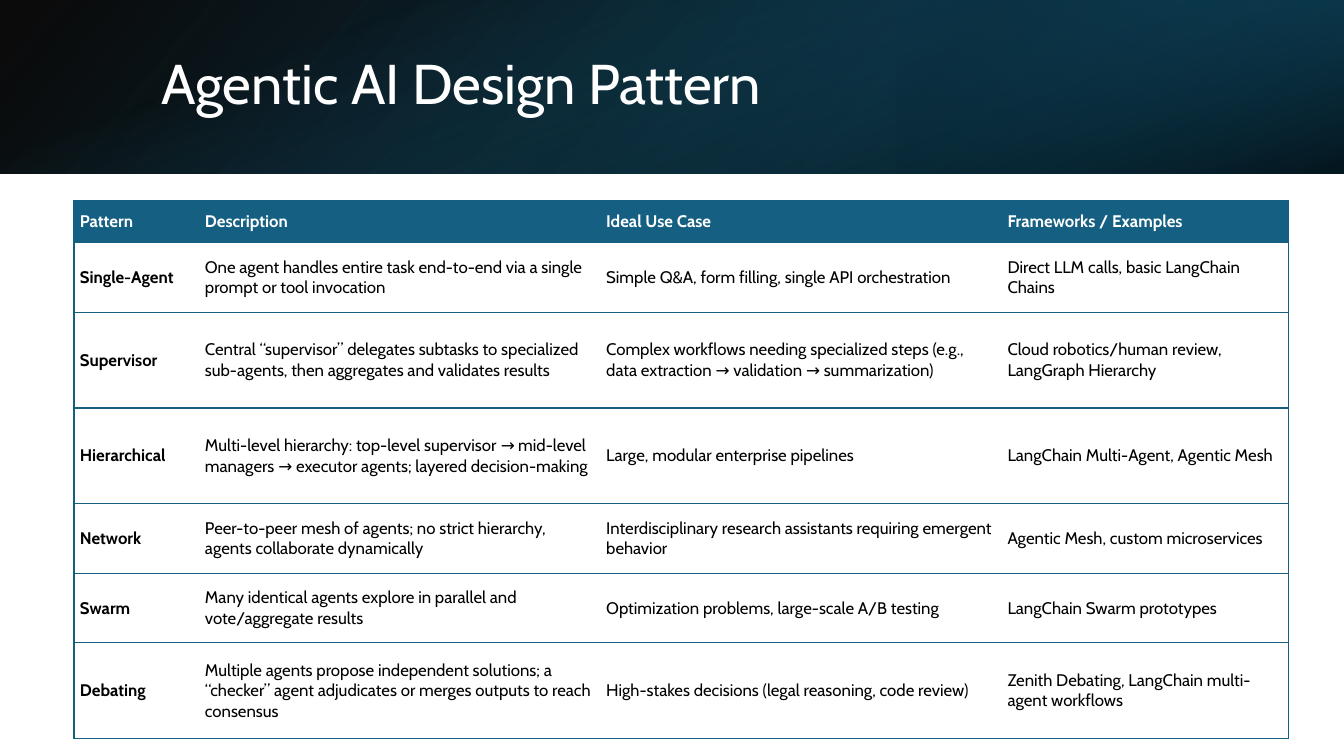
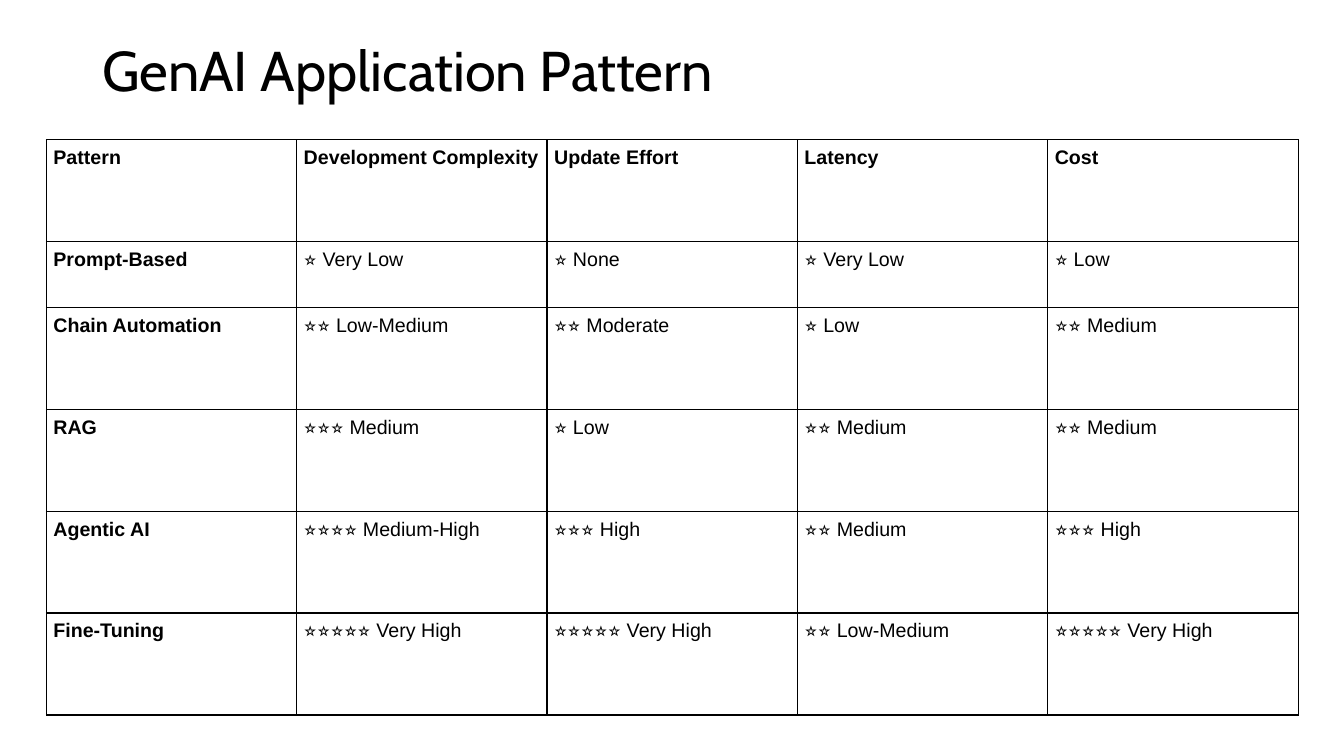
"""Builds two slides that compare agent design patterns and application patterns."""
from dataclasses import dataclass

from pptx import Presentation
from pptx import util as u
from pptx.dml.color import RGBColor
from pptx.enum import shapes, text
from pptx.oxml import parse_xml
from pptx.oxml.ns import nsdecls

SLIDE_WIDTH, SLIDE_HEIGHT = u.Inches(13.33), u.Inches(7.5)


@dataclass(frozen=True)
class Theme:
    accent: str = "156082"
    accent_dark: str = "104862"
    accent_deep: str = "0B3041"
    ink: str = "000000"
    paper: str = "FFFFFF"
    title_font: str = "Cabin"
    grid_font: str = "Arial"
    title_size: float = 40
    pattern_size: float = 12
    rating_size: float = 14
    border_width: float = 1


THEME = Theme()


@dataclass(frozen=True)
class Area:
    """A rectangle in percent of the slide's width and height."""
    left: float
    top: float
    width: float
    height: float

    def box(self) -> tuple[int, int, int, int]:
        return (int(SLIDE_WIDTH * self.left / 100), int(SLIDE_HEIGHT * self.top / 100),
                int(SLIDE_WIDTH * self.width / 100), int(SLIDE_HEIGHT * self.height / 100))


@dataclass(frozen=True)
class Stop:
    position: int
    color: str
    opacity: int = 100


@dataclass(frozen=True)
class BandLayer:
    box: tuple[int, int, int, int]
    stops: tuple[Stop, Stop]
    angle: int
    rotation: int = 0
    flipped: bool = False


@dataclass(frozen=True)
class Grid:
    area: Area
    columns: tuple[float, ...]
    rows: tuple[float, ...]
    cells: tuple[tuple[str, ...], ...]
    font: str
    size: float
    margins: tuple[float, float]
    anchor: text.MSO_ANCHOR
    border: str
    inner_verticals: bool
    header_fill: str | None = None
    header_ink: str = THEME.ink
    body_fill: str | None = None


BAND = Area(0, 0, 100, 22.95)
BAND_HEIGHT = BAND.box()[3]
BAND_SHIFT = (SLIDE_WIDTH - BAND_HEIGHT) // 2
BAND_LAYERS = (
    BandLayer(BAND.box(), (Stop(0, THEME.ink, 96), Stop(100, THEME.accent_dark)),
              140, flipped=True),
    BandLayer(Area(66.67, 0, 33.33, BAND.height).box(),
              (Stop(19, THEME.accent_deep, 68), Stop(100, THEME.accent, 79)),
              320, 180, True),
    BandLayer((BAND_SHIFT, -BAND_SHIFT, BAND_HEIGHT, SLIDE_WIDTH),
              (Stop(23, THEME.accent, 0), Stop(99, THEME.ink, 74)), 340, 90),
)

DESIGN_GRID = Grid(
    area=Area(5.5, 26.5, 90.4, 71.2),
    columns=(1.24, 3.98, 3.98, 2.85),
    rows=(0.42, 0.69, 0.95, 0.95, 0.69, 0.69, 0.95),
    cells=(
        ("Pattern", "Description", "Ideal Use Case", "Frameworks / Examples"),
        ("Single-Agent",
         "One agent handles entire task end-to-end via a single prompt or tool invocation",
         "Simple Q&A, form filling, single API orchestration",
         "Direct LLM calls, basic LangChain Chains"),
        ("Supervisor",
         "Central “supervisor” delegates subtasks to specialized sub-agents, "
         "then aggregates and validates results",
         "Complex workflows needing specialized steps (e.g., "
         "data extraction → validation → summarization)",
         "Cloud robotics/human review, LangGraph Hierarchy"),
        ("Hierarchical",
         "Multi-level hierarchy: top-level supervisor → mid-level managers → "
         "executor agents; layered decision-making",
         "Large, modular enterprise pipelines",
         "LangChain Multi-Agent, Agentic Mesh"),
        ("Network",
         "Peer-to-peer mesh of agents; no strict hierarchy, agents collaborate dynamically",
         "Interdisciplinary research assistants requiring emergent behavior",
         "Agentic Mesh, custom microservices"),
        ("Swarm",
         "Many identical agents explore in parallel and vote/aggregate results",
         "Optimization problems, large-scale A/B testing",
         "LangChain Swarm prototypes"),
        ("Debating",
         "Multiple agents propose independent solutions; a “checker” agent "
         "adjudicates or merges outputs to reach consensus",
         "High-stakes decisions (legal reasoning, code review)",
         "Zenith Debating, LangChain multi-agent workflows"),
    ),
    font=THEME.title_font, size=THEME.pattern_size, margins=(0.06, 0.03),
    anchor=text.MSO_ANCHOR.MIDDLE, border=THEME.accent, inner_verticals=False,
    header_fill=THEME.accent, header_ink=THEME.paper, body_fill=THEME.paper,
)

RATING_GRID = Grid(
    area=Area(3.45, 18.5, 93.15, 76.1),
    columns=(1,) * 5,
    rows=(1.01, 0.65, 1.01, 1.01, 1.01, 1.01),
    cells=(
        ("Pattern", "Development Complexity", "Update Effort", "Latency", "Cost"),
        ("Prompt-Based", "⭐ Very Low", "⭐ None", "⭐ Very Low", "⭐ Low"),
        ("Chain Automation", "⭐⭐ Low-Medium", "⭐⭐ Moderate", "⭐ Low", "⭐⭐ Medium"),
        ("RAG", "⭐⭐⭐ Medium", "⭐ Low", "⭐⭐ Medium", "⭐⭐ Medium"),
        ("Agentic AI", "⭐⭐⭐⭐ Medium-High", "⭐⭐⭐ High", "⭐⭐ Medium", "⭐⭐⭐ High"),
        ("Fine-Tuning", "⭐⭐⭐⭐⭐ Very High", "⭐⭐⭐⭐⭐ Very High", "⭐⭐ Low-Medium",
         "⭐⭐⭐⭐⭐ Very High"),
    ),
    font=THEME.grid_font, size=THEME.rating_size, margins=(0.07, 0.07),
    anchor=text.MSO_ANCHOR.TOP, border=THEME.ink, inner_verticals=True,
)


def style_paragraph(para, font: str, size: float, color: str, bold: bool = False) -> None:
    para.font.name = font
    para.font.size = u.Pt(size)
    para.font.bold = bold
    para.font.color.rgb = RGBColor.from_string(color)


def add_title(page, area: Area, wording: str, color: str) -> None:
    frame = page.shapes.add_textbox(*area.box()).text_frame
    frame.word_wrap = True
    frame.vertical_anchor = text.MSO_ANCHOR.MIDDLE
    para = frame.paragraphs[0]
    para.text = wording
    para.line_spacing = 0.9
    style_paragraph(para, THEME.title_font, THEME.title_size, color)


def add_band_layer(page, layer: BandLayer) -> None:
    shape = page.shapes.add_shape(shapes.MSO_SHAPE.RECTANGLE, *layer.box)
    shape.shadow.inherit = False
    shape.line.fill.background()
    shape.rotation = layer.rotation
    properties = shape._element.spPr
    if layer.flipped:
        properties.xfrm.set("flipH", "1")
    stops = "".join(
        f'<a:gs pos="{stop.position * 1000}"><a:srgbClr val="{stop.color}">'
        f'<a:alpha val="{stop.opacity * 1000}"/></a:srgbClr></a:gs>'
        for stop in layer.stops)
    properties.insert(2, parse_xml(
        f'<a:gradFill {nsdecls("a")} rotWithShape="1"><a:gsLst>{stops}</a:gsLst>'
        f'<a:lin ang="{layer.angle * 60000}" scaled="0"/></a:gradFill>'))


def set_borders(cell, color: str, visible: dict[str, bool]) -> None:
    properties = cell._tc.get_or_add_tcPr()
    for index, (side, shown) in enumerate(visible.items()):
        paint = (f'<a:solidFill><a:srgbClr val="{color}"/></a:solidFill>'
                 if shown else "<a:noFill/>")
        properties.insert(index, parse_xml(
            f'<a:ln{side} {nsdecls("a")} w="{u.Pt(THEME.border_width)}">{paint}</a:ln{side}>'))


def fill_cell(cell, color: str | None) -> None:
    if color is None:
        cell.fill.background()
    else:
        cell.fill.solid()
        cell.fill.fore_color.rgb = RGBColor.from_string(color)


def add_grid(page, grid: Grid) -> None:
    left, top, width, height = grid.area.box()
    table = page.shapes.add_table(
        len(grid.rows), len(grid.columns), left, top, width, height).table
    table.first_row = table.horz_banding = False
    for column, share in zip(table.columns, grid.columns):
        column.width = int(width * share / sum(grid.columns))
    for row, share in zip(table.rows, grid.rows):
        row.height = int(height * share / sum(grid.rows))
    last_column = len(grid.columns) - 1
    side_margin, end_margin = (u.Inches(margin) for margin in grid.margins)
    for row_index, row_cells in enumerate(grid.cells):
        header = row_index == 0
        for column_index, wording in enumerate(row_cells):
            cell = table.cell(row_index, column_index)
            cell.margin_left = cell.margin_right = side_margin
            cell.margin_top = cell.margin_bottom = end_margin
            cell.vertical_anchor = grid.anchor
            fill_cell(cell, grid.header_fill if header else grid.body_fill)
            para = cell.text_frame.paragraphs[0]
            para.text = wording
            style_paragraph(para, grid.font, grid.size,
                            grid.header_ink if header else THEME.ink,
                            header or column_index == 0)
            set_borders(cell, grid.border, {
                "L": grid.inner_verticals or column_index == 0,
                "R": grid.inner_verticals or column_index == last_column,
                "T": True, "B": True})


def main() -> None:
    deck = Presentation()
    deck.slide_width, deck.slide_height = SLIDE_WIDTH, SLIDE_HEIGHT
    blank = deck.slide_layouts[6]

    design_page = deck.slides.add_slide(blank)
    for layer in BAND_LAYERS:
        add_band_layer(design_page, layer)
    add_title(design_page, Area(11.25, 5, 82.35, 12.8),
              "Agentic AI Design Pattern", THEME.paper)
    add_grid(design_page, DESIGN_GRID)

    rating_page = deck.slides.add_slide(blank)
    add_title(rating_page, Area(6.9, 5.3, 86.25, 8.7),
              "GenAI Application Pattern", THEME.ink)
    add_grid(rating_page, RATING_GRID)

    deck.save("out.pptx")


if __name__ == "__main__":
    main()
